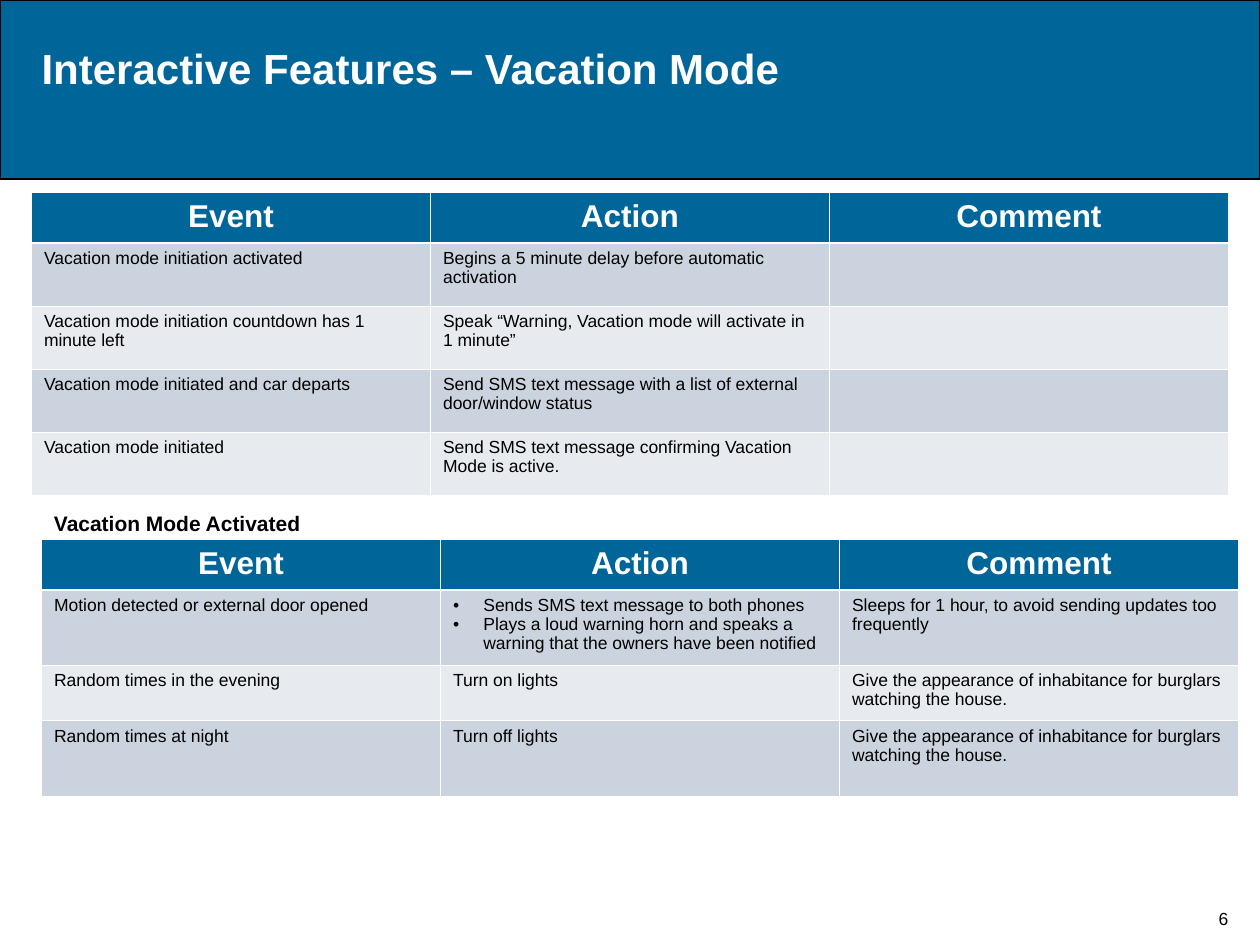
from lxml import etree
from pptx import Presentation
from pptx.dml.color import RGBColor
from pptx.enum.shapes import MSO_SHAPE
from pptx.enum.text import MSO_ANCHOR as Anchor, MSO_AUTO_SIZE as AutoSize, PP_ALIGN as Align
from pptx.oxml.ns import qn
from pptx.util import Inches, Pt

BLUE = RGBColor(0x00, 0x66, 0x99)
BLACK = RGBColor(0x00, 0x00, 0x00)
WHITE = RGBColor(0xFF, 0xFF, 0xFF)
DARK_BAND = RGBColor(0xCB, 0xD3, 0xDE)
LIGHT_BAND = RGBColor(0xE7, 0xEA, 0xEF)

HEADINGS = ["Event", "Action", "Comment"]
INITIATION_ROWS = [
    ["Vacation mode initiation activated",
     "Begins a 5 minute delay before automatic activation", ""],
    ["Vacation mode initiation countdown has 1 minute left",
     "Speak “Warning, Vacation mode will activate in 1 minute”", ""],
    ["Vacation mode initiated and car departs",
     "Send SMS text message with a list of external door/window status", ""],
    ["Vacation mode initiated",
     "Send SMS text message confirming Vacation Mode is active.", ""],
]
APPEARANCE = "Give the appearance of inhabitance for burglars watching the house."
ACTIVATED_ROWS = [
    ["Motion detected or external door opened",
     ["Sends SMS text message to both phones",
      "Plays a loud warning horn and speaks a warning that the owners have been notified"],
     "Sleeps for 1 hour, to avoid sending updates too frequently"],
    ["Random times in the evening", "Turn on lights", APPEARANCE],
    ["Random times at night", "Turn off lights", APPEARANCE],
]


def add_bullet(paragraph):
    properties = paragraph._p.get_or_add_pPr()
    properties.set("marL", str(Inches(0.24)))
    properties.set("indent", str(-Inches(0.24)))
    etree.SubElement(properties, qn("a:buFont")).set("typeface", "Arial")
    etree.SubElement(properties, qn("a:buChar")).set("char", "•")


def write_text(frame, content, size=10, color=BLACK, bold=False, align=Align.LEFT,
               font="Arial", spacing=None):
    bulleted = isinstance(content, list)
    lines = content if bulleted else [content]
    for index, line in enumerate(lines):
        paragraph = frame.add_paragraph() if index else frame.paragraphs[0]
        paragraph.alignment = align
        if spacing:
            paragraph.line_spacing = spacing
        if bulleted:
            add_bullet(paragraph)
        paragraph.font.size = Pt(size)
        if line:
            run = paragraph.add_run()
            run.text = line
            run.font.name = font
            run.font.size = Pt(size)
            run.font.bold = bold
            run.font.color.rgb = color


def set_borders(cell, **widths):
    properties = cell._tc.get_or_add_tcPr()
    for position, side in enumerate(["L", "R", "T", "B"]):
        line = etree.Element(qn(f"a:ln{side}"), w=str(Pt(widths.get(side, 0.45))))
        fill = etree.SubElement(line, qn("a:solidFill"))
        etree.SubElement(fill, qn("a:srgbClr")).set("val", str(WHITE))
        properties.insert(position, line)


class SlideBuilder:
    def __init__(self, slide, accent=BLUE, bands=(DARK_BAND, LIGHT_BAND)):
        self.slide = slide
        self.accent = accent
        self.bands = bands

    def header_band(self, height):
        band = self.slide.shapes.add_shape(
            MSO_SHAPE.RECTANGLE, 0, 0, Inches(10), Inches(height))
        band.shadow.inherit = False
        band.fill.solid()
        band.fill.fore_color.rgb = self.accent
        band.line.color.rgb = BLACK
        band.line.width = Pt(1)
        band._element.getparent().insert(2, band._element)

    def title(self, text, left, top, width, height):
        title = self.slide.shapes.title
        title.left, title.top = Inches(left), Inches(top)
        title.width, title.height = Inches(width), Inches(height)
        title.text_frame.vertical_anchor = Anchor.TOP
        title.text_frame.auto_size = AutoSize.NONE
        write_text(title.text_frame, text, size=24, color=WHITE, bold=True)

    def label(self, text, left, top, width, height, anchor=Anchor.TOP, **style):
        box = self.slide.shapes.add_textbox(
            Inches(left), Inches(top), Inches(width), Inches(height))
        box.text_frame.word_wrap = False
        box.text_frame.vertical_anchor = anchor
        write_text(box.text_frame, text, **style)

    def event_table(self, rows, left, top, heights):
        table = self.slide.shapes.add_table(
            len(rows) + 1, len(HEADINGS), Inches(left), Inches(top),
            Inches(9.5), Inches(sum(heights))).table
        for row, height in zip(table.rows, heights):
            row.height = Inches(height)
        for row_index, row in enumerate([HEADINGS] + rows):
            for column_index, content in enumerate(row):
                cell = table.cell(row_index, column_index)
                cell.fill.solid()
                if row_index == 0:
                    cell.fill.fore_color.rgb = self.accent
                    write_text(cell.text_frame, content, size=18, color=WHITE,
                               bold=True, align=Align.CENTER)
                    set_borders(cell, B=1.47)
                else:
                    cell.fill.fore_color.rgb = self.bands[(row_index - 1) % 2]
                    write_text(cell.text_frame, content, spacing=0.97)
                    set_borders(cell, T=1.47 if row_index == 1 else 0.45)


def main():
    presentation = Presentation()
    presentation.slide_width = Inches(10)
    presentation.slide_height = Inches(7.5)
    slide = presentation.slides.add_slide(presentation.slide_layouts[5])

    builder = SlideBuilder(slide)
    builder.header_band(1.42)
    builder.label("6", 9.5, 6.92, 0.42, 0.5, anchor=Anchor.BOTTOM, align=Align.CENTER)
    builder.title("Interactive Features – Vacation Mode", 0.23, 0.29, 9.43, 0.5)
    builder.event_table(INITIATION_ROWS, 0.25, 1.53, [0.4] + [0.5] * 4)
    builder.event_table(ACTIVATED_ROWS, 0.33, 4.28, [0.4, 0.6, 0.44, 0.6])
    builder.label("Vacation Mode Activated", 0.33, 4, 2.17, 0.3, size=12, bold=True)

    presentation.save("out.pptx")


if __name__ == "__main__":
    main()
